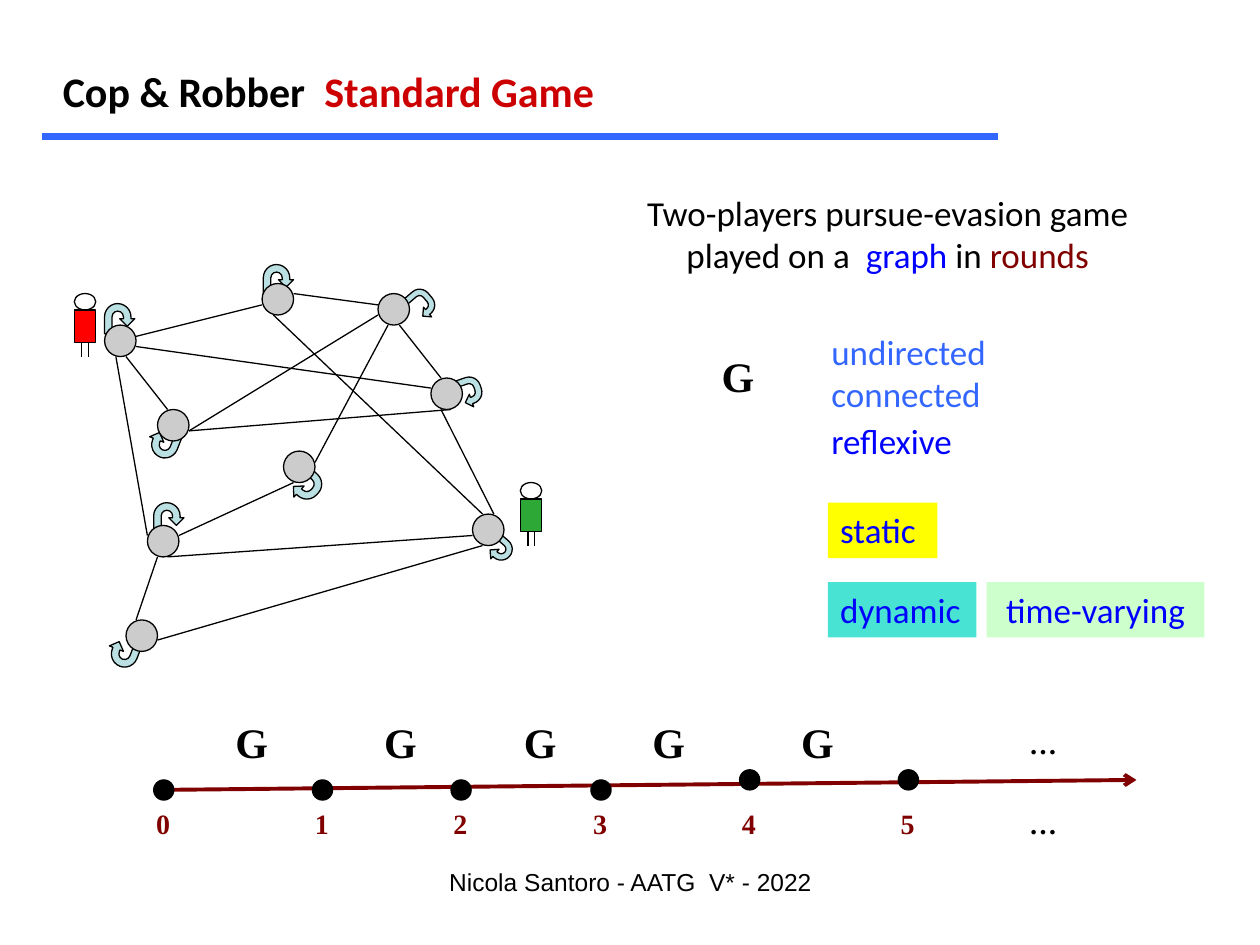
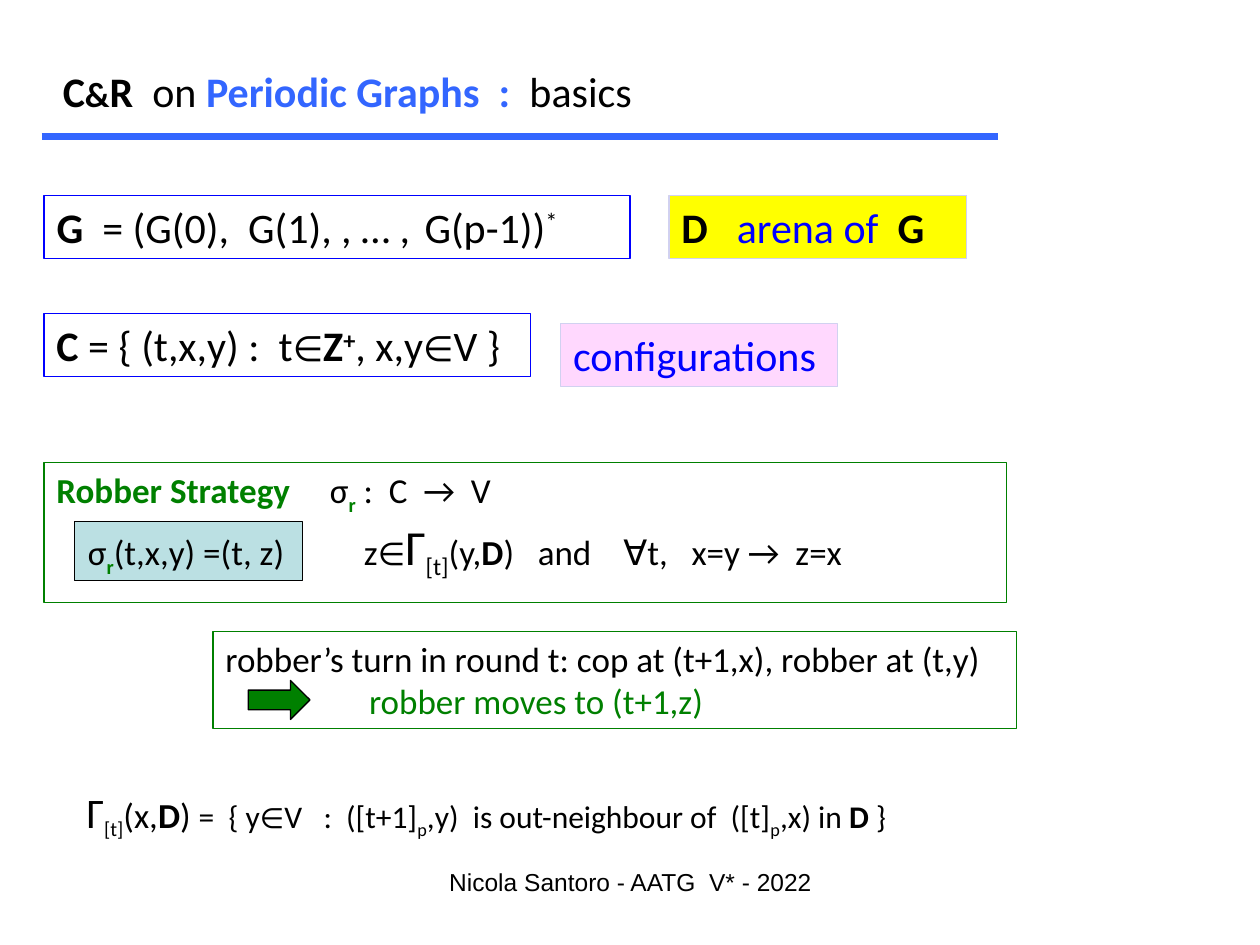
from dataclasses import dataclass

from lxml.etree import SubElement
from pptx import Presentation
from pptx.dml.color import RGBColor
from pptx.enum.shapes import MSO_CONNECTOR, MSO_SHAPE
from pptx.enum.text import MSO_ANCHOR, PP_ALIGN
from pptx.oxml.ns import qn
from pptx.util import Inches, Pt


@dataclass(frozen=True)
class Theme:
    black: str = "000000"
    blue: str = "0000FF"
    sky: str = "3366FF"
    red: str = "CC0000"
    maroon: str = "800000"
    green: str = "008000"
    yellow: str = "FFFF00"
    pale_blue: str = "BBE0E3"
    pale_edge: str = "D1D1F0"
    pink: str = "FFD8FE"
    turquoise: str = "48E3D3"
    mint: str = "CCFFCC"
    node: str = "CCCCCC"
    cop: str = "FF0000"
    robber: str = "2DA735"
    body_font: str = "Calibri"
    serif_font: str = "Times New Roman"
    footer_font: str = "Arial"
    title_size: int = 24
    body_size: int = 20
    small_size: int = 18
    element_size: int = 16
    gamma_size: int = 28
    tick_size: int = 16
    footer_size: int = 14
    hairline: float = 0.75
    arrow_line: float = 2.25
    rule_line: float = 4


T = Theme()

BODY = dict(name=T.body_font, size=T.body_size, bold=False, color=T.black)
LARGE = BODY | dict(size=T.title_size)
BOLD = dict(bold=True)
BLUE = dict(color=T.blue)
GRAPH = dict(name=T.serif_font, size=T.title_size, bold=True, color=T.black)
TICK = GRAPH | dict(size=T.tick_size, color=T.maroon)
DOTS = TICK | dict(color=T.black)
SMALL = dict(size=T.small_size)
SUB_R = dict(bold=True, color=T.green, base=-25)

FOOTER = "Nicola Santoro - AATG  V* - 2022"

GAME_TITLE = [("Cop & Robber  ", BOLD), ("Standard Game", dict(bold=True, color=T.red))]
BASICS_TITLE = [
    ("C", BOLD), ("&", dict(bold=True, size=T.body_size)), ("R  ", BOLD), "on ",
    ("Periodic Graphs  :  ", dict(bold=True, color=T.sky)), "basics",
]

NODES = [
    (0.83, 2.58), (2.08, 2.25), (3.42, 3), (1.25, 3.25), (2.25, 3.58),
    (3, 2.33), (1.17, 4.17), (3.75, 4.08), (1, 4.92),
]
EDGES = [
    (1.08, 2.67, 2.08, 2.42), (1, 2.83, 1.33, 3.25), (1.08, 2.75, 3.42, 3.08),
    (3.17, 2.58, 3.5, 3), (2.17, 2.5, 3.83, 4.08), (1.42, 4.25, 2.33, 3.83),
    (0.92, 2.83, 1.17, 4.25), (1.5, 3.42, 3, 2.5), (2.33, 2.33, 3, 2.42),
    (1.33, 4.42, 3.75, 4.25), (1.5, 3.42, 3.58, 3.25), (3.5, 3.25, 3.92, 4.08),
    (3.08, 2.58, 2.5, 3.67), (1.25, 4.42, 1.08, 4.92), (1.25, 5.08, 3.83, 4.33),
]
LOOPS = [
    (3.86, 4.26, 0.2, 0.2, 130.7), (2.09, 2.1, 0.24, 0.24, 0),
    (1.22, 3.99, 0.24, 0.24, 0), (0.83, 2.41, 0.24, 0.24, 0),
    (0.86, 5.05, 0.24, 0.24, 201.3), (1.18, 3.39, 0.24, 0.24, 201.3),
    (3.22, 2.32, 0.25, 0.2, 49.7), (3.6, 3.01, 0.24, 0.21, 70.8),
    (2.29, 3.73, 0.26, 0.24, 132.8),
]
PLAYERS = [(4.13, 3.83, T.robber), (0.59, 2.33, T.cop)]

ROUNDS = [(1.22, 6.19), (2.48, 6.19), (3.58, 6.19), (4.69, 6.19), (5.87, 6.11), (7.13, 6.11)]
SNAPSHOTS = [1.77, 2.95, 4.06, 5.08, 6.26]

GAME_TEXTS = [
    ((5, 1.47, 4.09, 0.77), BODY | dict(align=PP_ALIGN.CENTER), [
        ["Two-players pursue-evasion game"],
        ["played on a  ", ("graph", BLUE), " in ", ("rounds", dict(color=T.maroon))],
    ]),
    ((6.5, 2.57, 1.5, 0.77), BODY | dict(color=T.sky), [["undirected"], ["connected"]]),
    ((6.5, 3.28, 1.5, 0.44), BODY | BLUE, [["reflexive"]]),
]
GRAPH_KINDS = [
    ((6.57, 3.99, 0.87, 0.44), T.yellow, "static", PP_ALIGN.LEFT),
    ((6.57, 4.62, 1.18, 0.44), T.turquoise, "dynamic", PP_ALIGN.LEFT),
    ((7.83, 4.62, 1.73, 0.44), T.mint, "time-varying", PP_ALIGN.CENTER),
]

MEMBER = ("∈", dict(size=T.body_size))
DEFINITIONS = [
    ((5.31, 1.55, 2.36, 0.5), T.yellow, T.pale_edge, LARGE | dict(tabs=[[0.44]]),
     [[("D\t", BOLD), ("arena of  ", BLUE), ("G", BOLD)]]),
    ((0.35, 2.49, 3.86, 0.5), None, T.blue, LARGE,
     [[("C", BOLD), " = { (t,x,y) :  t", MEMBER, ("Z", BOLD),
       ("+", dict(bold=True, base=30)), ", x,y", MEMBER, "V }"]]),
    ((0.35, 1.55, 4.65, 0.5), None, T.blue, LARGE,
     [[("G", BOLD), "  = (G(0),  G(1), , … ,", ("  ", SMALL), "G(p-1))",
       ("*", dict(base=30))]]),
    ((4.45, 2.57, 2.2, 0.5), T.pink, T.pale_edge, LARGE | BLUE, [["configurations"]]),
    ((0.35, 3.67, 7.64, 1.11), None, T.green,
     BODY | dict(tabs=[[2.17], [0.25, 2.44, 3.82, 4.5, 5.04]]), [
        [("Robber Strategy\t", dict(bold=True, color=T.green)), "σ", ("r", SUB_R),
         " :  C  →  V"],
        ["\tσ", ("r", SUB_R), "(t,x,y) =(t, z)\tz", ("∈", SMALL),
         ("Γ", dict(size=T.gamma_size)), ("[t]", dict(size=T.title_size, base=-25)),
         "(y,", ("D", BOLD), ")\tand\t∀t,\tx=y →  z=x"],
     ]),
    ((1.69, 5.01, 6.38, 0.77), None, T.green, BODY | dict(tabs=[[], [1.14]]), [
        ["robber’s turn in round t: cop at (t+1,x), robber at (t,y)"],
        [("\trobber moves to (t+1,z)", dict(color=T.green))],
    ]),
]
PERIOD = ("p", SMALL | dict(base=-25))
NEIGHBOURHOOD = [
    ("Γ", dict(size=T.title_size)), ("[t]", dict(base=-25)), "(x,", ("D", BOLD), ") ",
    ("=  { y", SMALL), ("∈", dict(size=T.element_size)), ("V\t:  ([t+1]", SMALL), PERIOD,
    (",y)  is out-neighbour of  ([t]", SMALL), PERIOD, (",x) in ", SMALL),
    ("D", SMALL | BOLD), (" }", SMALL),
]


def rgb(color):
    return RGBColor.from_string(color)


def format_run(run, style):
    run.font.color.rgb = rgb(style["color"])
    values = dict(name=style["name"], size=Pt(style["size"]), bold=style["bold"])
    for key, value in values.items():
        setattr(run.font, key, value)
    if "base" in style:
        run.font._element.set("baseline", str(style["base"] * 1000))


def write(shape, paragraphs, style, wrap=True):
    frame = shape.text_frame
    frame.word_wrap = wrap
    frame.vertical_anchor = MSO_ANCHOR.TOP
    tabs = style.get("tabs", [])
    for index, runs in enumerate(paragraphs):
        paragraph = frame.paragraphs[0] if index == 0 else frame.add_paragraph()
        paragraph.alignment = style.get("align", PP_ALIGN.LEFT)
        if index < len(tabs) and tabs[index]:
            stops = SubElement(paragraph._p.get_or_add_pPr(), qn("a:tabLst"))
            for stop in tabs[index]:
                SubElement(stops, qn("a:tab"), pos=str(Inches(stop)), algn="l")
        for part in runs:
            words, change = (part, {}) if isinstance(part, str) else part
            run = paragraph.add_run()
            run.text = words
            format_run(run, style | change)


def add_text(slide, place, paragraphs, style, wrap=True):
    write(slide.shapes.add_textbox(*map(Inches, place)), paragraphs, style, wrap)


def add_figure(slide, kind, place, fill=None, line=T.black, turn=0):
    figure = slide.shapes.add_shape(kind, *map(Inches, place))
    figure.shadow.inherit = False
    figure.rotation = turn
    if fill:
        figure.fill.solid()
        figure.fill.fore_color.rgb = rgb(fill)
    else:
        figure.fill.background()
    if line:
        figure.line.color.rgb = rgb(line)
        figure.line.width = Pt(T.hairline)
    else:
        figure.line.fill.background()
    return figure


def add_line(slide, ends, color=T.black, width=T.hairline, arrow=False):
    line = slide.shapes.add_connector(MSO_CONNECTOR.STRAIGHT, *map(Inches, ends))
    line.line.color.rgb = rgb(color)
    line.line.width = Pt(width)
    if arrow:
        SubElement(line.line._get_or_add_ln(), qn("a:tailEnd"), type="arrow")
    SubElement(line._element.spPr, qn("a:effectLst"))


def start_slide(deck, title):
    slide = deck.slides.add_slide(deck.slide_layouts[6])
    add_text(slide, (3.42, 6.83, 3.17, 0.5), [[FOOTER]],
             BODY | dict(name=T.footer_font, size=T.footer_size, align=PP_ALIGN.CENTER))
    add_line(slide, (0.33, 1.08, 7.92, 1.08), T.sky, T.rule_line)
    add_text(slide, (0.4, 0.47, 7.83, 0.5), [title], LARGE)
    return slide


def add_player(slide, x, y, color):
    add_figure(slide, MSO_SHAPE.OVAL, (x, y, 0.17, 0.13))
    add_figure(slide, MSO_SHAPE.RECTANGLE, (x, y + 0.13, 0.17, 0.26), color)
    for leg in (x + 0.06, x + 0.11):
        add_line(slide, (leg, y + 0.39, leg, y + 0.5))


def add_timeline(slide):
    add_line(slide, (1.22, 6.27, 9.02, 6.19), T.maroon, T.arrow_line, arrow=True)
    for number, (x, y) in enumerate(ROUNDS):
        add_figure(slide, MSO_SHAPE.OVAL, (x, y, 0.16, 0.16), T.black)
        add_text(slide, (x - 0.08, 6.35, 0.31, 0.37), [[str(number)]], TICK, wrap=False)
    for x in SNAPSHOTS:
        add_text(slide, (x, 5.64, 0.46, 0.5), [["G"]], GRAPH, wrap=False)
    for y in (5.72, 6.35):
        add_text(slide, (8.07, y, 0.43, 0.37), [["…"]], DOTS, wrap=False)


def build_game(deck):
    slide = start_slide(deck, GAME_TITLE)
    for edge in EDGES:
        add_line(slide, edge)
    for *place, turn in LOOPS:
        add_figure(slide, MSO_SHAPE.U_TURN_ARROW, place, T.pale_blue, turn=turn)
    for x, y in NODES:
        add_figure(slide, MSO_SHAPE.OVAL, (x, y, 0.25, 0.25), T.node)
    for player in PLAYERS:
        add_player(slide, *player)
    add_timeline(slide)
    add_text(slide, (5.63, 2.73, 0.46, 0.5), [["G"]], GRAPH, wrap=False)
    for place, style, paragraphs in GAME_TEXTS:
        add_text(slide, place, paragraphs, style)
    for place, fill, kind, align in GRAPH_KINDS:
        label = add_figure(slide, MSO_SHAPE.RECTANGLE, place, fill, line=None)
        write(label, [[kind]], BODY | BLUE | dict(align=align))


def build_basics(deck):
    slide = start_slide(deck, BASICS_TITLE)
    add_figure(slide, MSO_SHAPE.RECTANGLE, (0.59, 4.14, 1.81, 0.47), T.pale_blue)
    for place, fill, line, style, paragraphs in DEFINITIONS:
        write(add_figure(slide, MSO_SHAPE.RECTANGLE, place, fill, line), paragraphs, style)
    add_figure(slide, MSO_SHAPE.RIGHT_ARROW, (1.97, 5.4, 0.49, 0.31), T.green)
    add_text(slide, (0.59, 6.19, 6.93, 0.5), [NEIGHBOURHOOD], BODY | dict(tabs=[[1.88]]))


def main():
    deck = Presentation()
    deck.slide_width, deck.slide_height = Inches(10), Inches(7.5)
    build_game(deck)
    build_basics(deck)
    deck.save("out.pptx")


if __name__ == "__main__":
    main()
